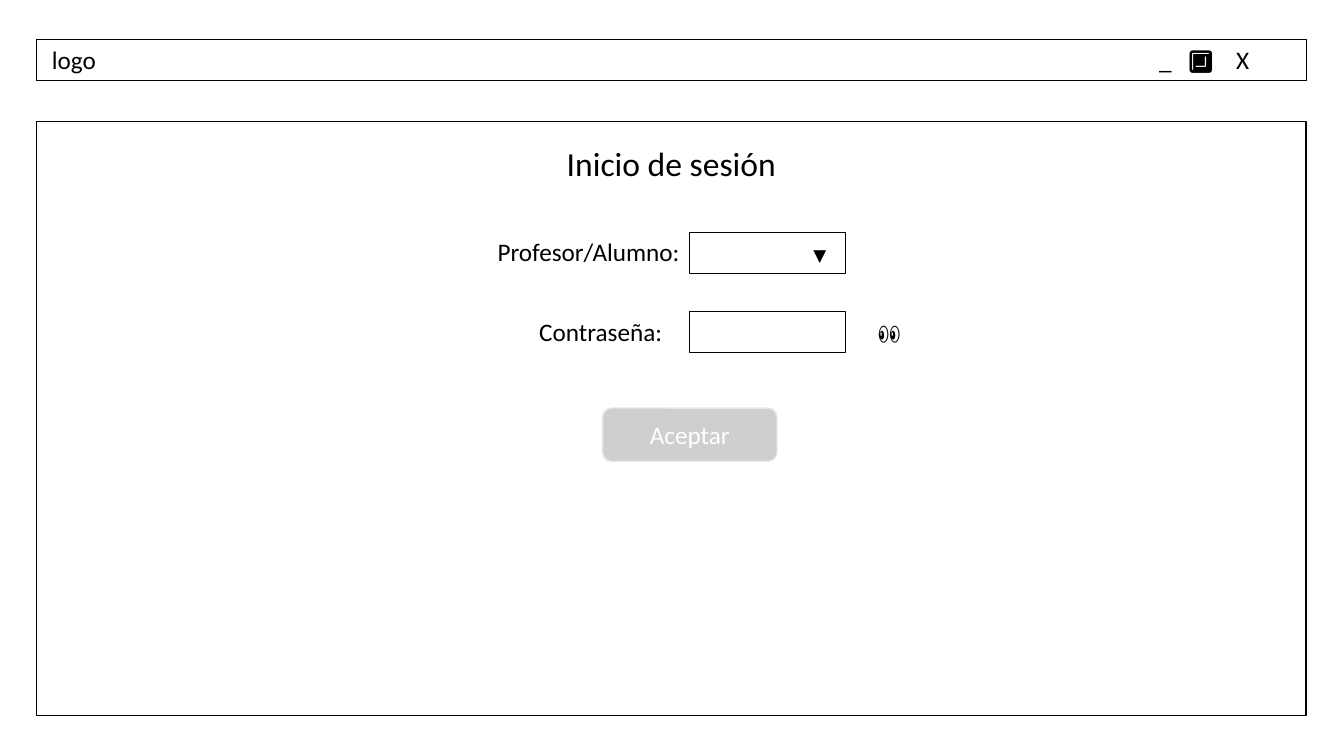
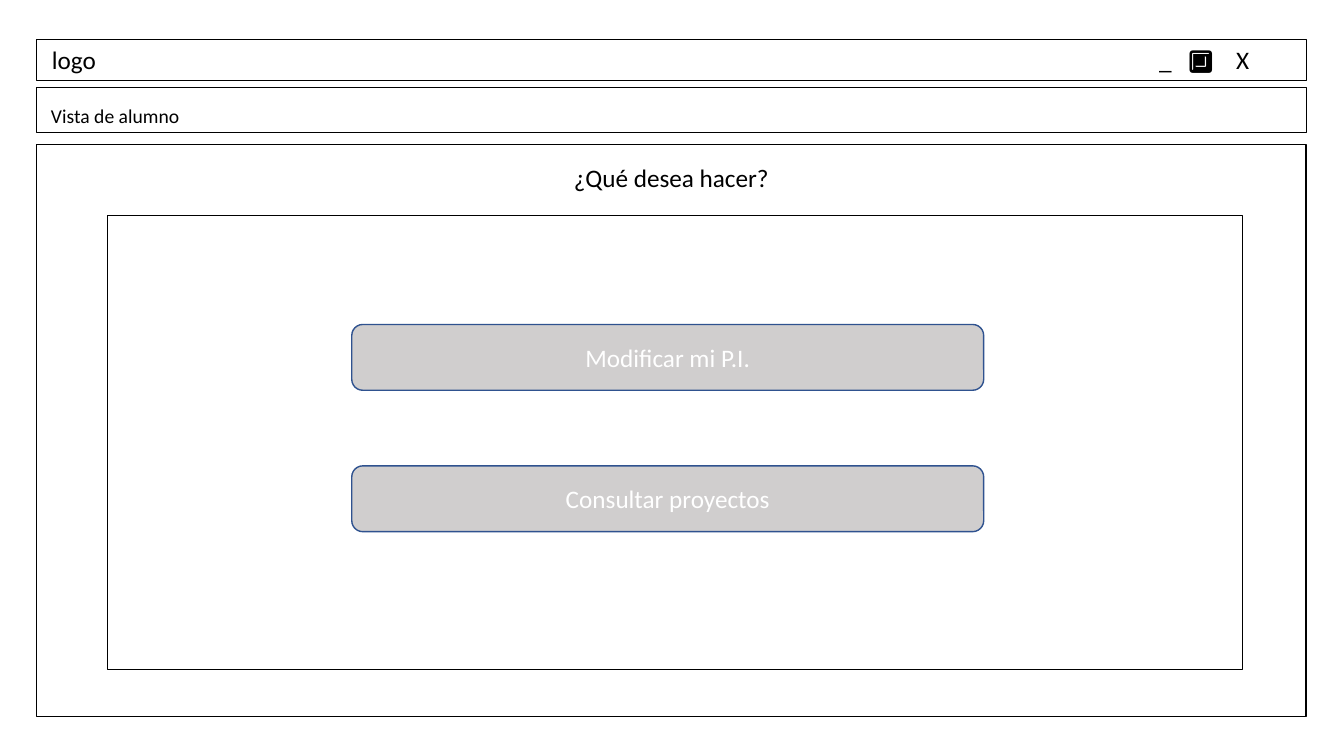
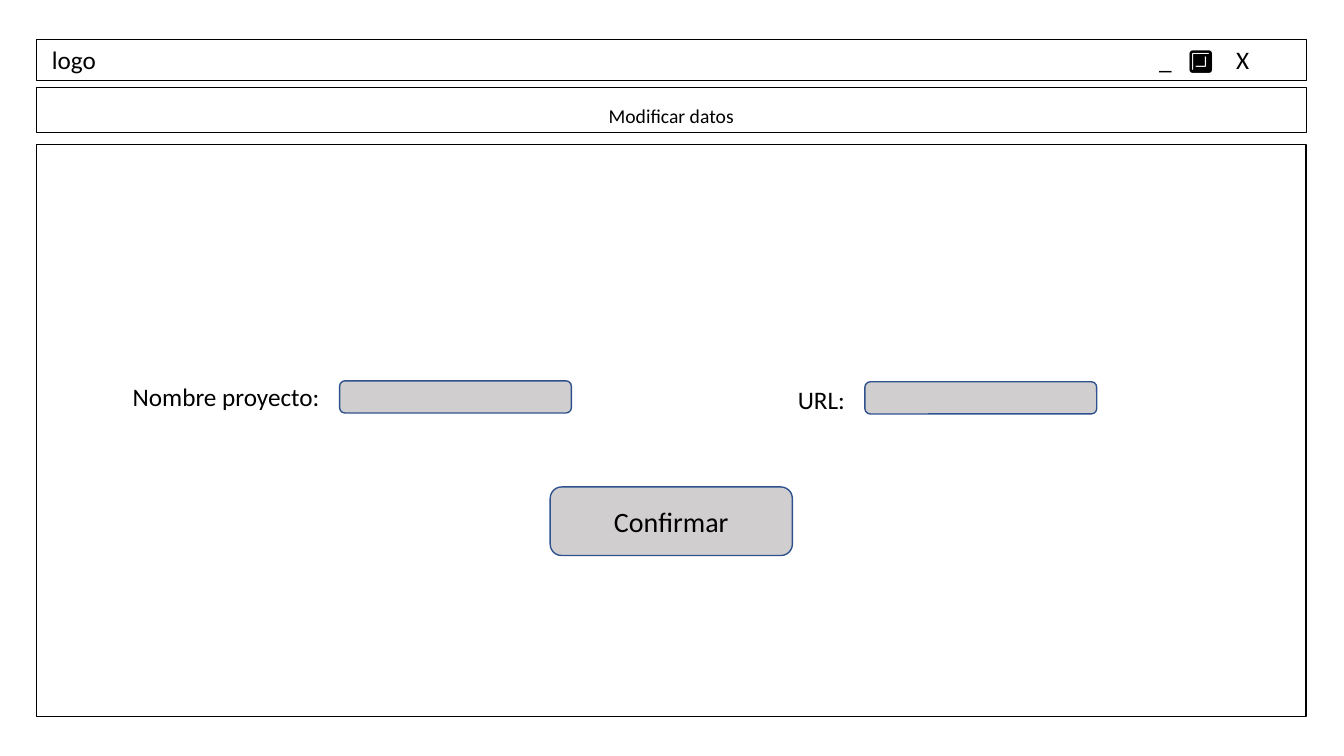
from dataclasses import dataclass

from lxml.etree import SubElement
from pptx import Presentation
from pptx.dml.color import RGBColor
from pptx.enum.shapes import MSO_SHAPE as Preset
from pptx.enum.text import MSO_ANCHOR as Anchor, PP_ALIGN as Align
from pptx.oxml.ns import qn
from pptx.util import Pt


@dataclass(frozen=True)
class Theme:
    font: str = "Calibri"
    ink: str = "000000"
    white: str = "FFFFFF"
    button: str = "D0CECE"
    soft_edge: str = "E7E6E6"
    blue_edge: str = "2F528F"
    heading: int = 24
    action: int = 20
    body: int = 18
    caption: int = 14
    symbol: int = 12
    hairline: float = 0.25
    thin: float = 0.75
    frame: float = 1


@dataclass(frozen=True)
class Box:
    left: float
    top: float
    width: float
    height: float

    def inside(self, left, top, width, height):
        return Box(self.left + left, self.top + top, width, height)

    def centred(self, top, width, height):
        return self.inside((self.width - width) / 2, top, width, height)

    def lengths(self):
        return [Pt(round(n, 2)) for n in (self.left, self.top, self.width, self.height)]


THEME = Theme()
SLIDE_WIDTH, SLIDE_HEIGHT = 960, 540
TITLE_BAR = Box(26, 28, 907, 29)
VIEW_BAR = Box(26, 62, 907, 32.5)
LOGIN_FRAME = Box(26, 87, 907, 424)
VIEW_FRAME = Box(26, 103, 907, 409)
WINDOW_CONTROLS = {"_": 791, "🔲": 812, "X": 846}


def write(holder, text, size=THEME.body, color=THEME.ink, align=Align.LEFT,
          anchor=Anchor.TOP, left=7.2, top=3.6, spacing=None):
    frame = holder.text_frame
    frame.word_wrap = True
    frame.vertical_anchor = anchor
    frame.margin_left, frame.margin_top = Pt(left), Pt(top)
    paragraph = frame.paragraphs[0]
    paragraph.alignment = align
    paragraph.line_spacing = spacing
    run = paragraph.add_run()
    run.text = text
    run.font.name = THEME.font
    run.font.size = Pt(size)
    run.font.color.rgb = RGBColor.from_string(color)
    return paragraph


def add_label(slide, box, text, **style):
    write(slide.shapes.add_textbox(*box.lengths()), text, **style)


def add_panel(slide, box, weight=THEME.hairline, edge=THEME.ink, fill=None,
              preset=Preset.RECTANGLE):
    panel = slide.shapes.add_shape(preset, *box.lengths())
    panel.shadow.inherit = False
    if fill:
        panel.fill.solid()
        panel.fill.fore_color.rgb = RGBColor.from_string(fill)
    else:
        panel.fill.background()
    panel.line.color.rgb = RGBColor.from_string(edge)
    panel.line.width = Pt(weight)
    return panel


def add_button(slide, box, text="", edge=THEME.blue_edge, **style):
    button = add_panel(slide, box, THEME.frame, edge, THEME.button,
                       Preset.ROUNDED_RECTANGLE)
    if text:
        write(button, text, align=Align.CENTER, anchor=Anchor.MIDDLE, **style)


def add_title_bar(slide, box):
    bar = add_panel(slide, box)
    paragraph = write(bar, "\t".join(["logo", *WINDOW_CONTROLS]), left=11)
    tabs = SubElement(paragraph._p.get_or_add_pPr(), qn("a:tabLst"))
    for position in WINDOW_CONTROLS.values():
        SubElement(tabs, qn("a:tab"), pos=str(Pt(position)), algn="l")


def add_view_bar(slide, box, text, **style):
    write(add_panel(slide, box), text, size=THEME.caption, spacing=1.5, **style)


def add_login(slide, box):
    add_panel(slide, box, THEME.frame)
    add_label(slide, box.centred(11.5, 313, 36), "Inicio de sesión",
              size=THEME.heading, align=Align.CENTER)
    add_label(slide, box.inside(257, 78.5, 209.5, 30), "Profesor/Alumno:",
              align=Align.RIGHT)
    role = add_panel(slide, box.inside(466.5, 79, 111, 29))
    write(role, "▼", size=THEME.symbol, left=81.4 + 7.2, top=9)
    add_label(slide, box.inside(297, 135.5, 157, 29), "Contraseña:",
              align=Align.RIGHT)
    add_panel(slide, box.inside(466.5, 135.5, 111, 29))
    add_label(slide, box.inside(594, 135.5, 42.5, 29), "👀")
    add_button(slide, box.inside(404.5, 204.5, 124.5, 38), "Aceptar",
               THEME.soft_edge, color=THEME.white)


def add_menu(slide, box):
    add_panel(slide, box, THEME.frame)
    add_label(slide, box.centred(9.3, 271.4, 29), "¿Qué desea hacer?",
              align=Align.CENTER)
    options = box.inside(51, 51, 810.7, 324)
    add_panel(slide, options, THEME.thin)
    for row, option in enumerate(("Modificar mi P.I.", "Consultar proyectos")):
        add_button(slide, options.inside(174.3, 77.8 + row * 101, 451.4, 47),
                   option, color=THEME.white)


def add_project_form(slide, box):
    add_panel(slide, box, THEME.frame)
    fields = (("Nombre proyecto:", -35.4, 165.6, 244.8, 216.6, 169),
              ("URL:", 506.8, 167.7, 77.8, 591.8, 169.7))
    for label, label_left, label_top, label_width, left, top in fields:
        add_label(slide, box.inside(label_left, label_top, label_width, 29), label,
                  align=Align.RIGHT)
        add_button(slide, box.inside(left, top, 165.6, 23))
    add_button(slide, box.centred(244.8, 173, 49), "Confirmar", size=THEME.action)


def add_window(deck):
    slide = deck.slides.add_slide(deck.slide_layouts[6])
    add_title_bar(slide, TITLE_BAR)
    return slide


def main():
    deck = Presentation()
    deck.slide_width, deck.slide_height = Pt(SLIDE_WIDTH), Pt(SLIDE_HEIGHT)

    login = add_window(deck)
    add_login(login, LOGIN_FRAME)

    student = add_window(deck)
    add_view_bar(student, VIEW_BAR, "Vista de alumno", left=10.4)
    add_menu(student, VIEW_FRAME)

    project = add_window(deck)
    add_view_bar(project, VIEW_BAR, "Modificar datos", align=Align.CENTER)
    add_project_form(project, VIEW_FRAME)

    deck.save("out.pptx")


main()
